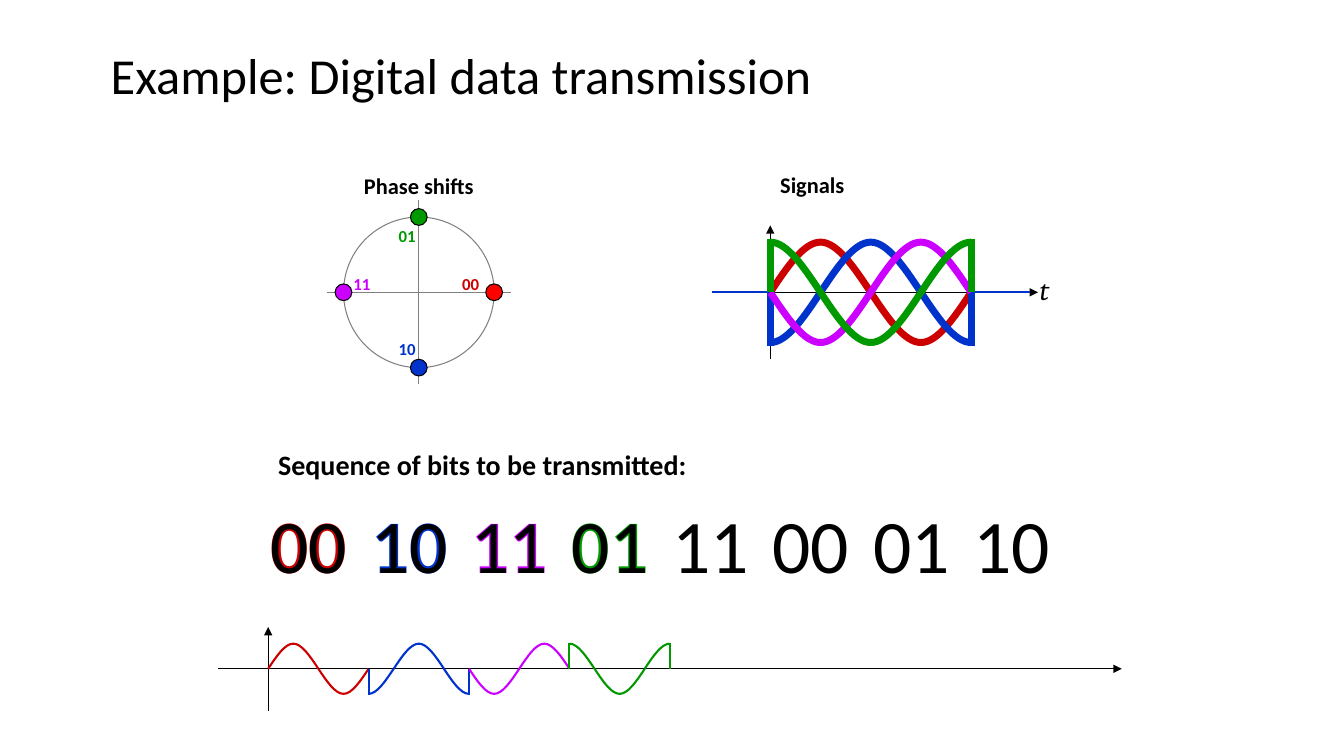
"""Builds the slide on digital data transmission by phase shifts."""
from dataclasses import dataclass
from math import cos, pi, sin

from lxml import etree
from pptx import Presentation
from pptx import util as u
from pptx.dml.color import RGBColor
from pptx.enum import shapes, text
from pptx.oxml.ns import qn

PITCH = 0.166
LEFT, TOP = 2.66, 2.9
WAVE_CONTROLS = [0, 0.5, 1, 1, 1, 0.5, 0, -0.5, -1, -1, -1, -0.5]
BLACK, GREY, BLUE = "000000", "808080", "0033CC"


@dataclass
class Symbol:
    """Two bits, their phase in quarter turns, and the place of their label."""
    bits: str
    quarter: int
    colour: str
    dot_colour: str
    label_column: float
    label_row: float
    label_columns: float


@dataclass
class Label:
    """A line of text on the grid."""
    wording: str
    column: float
    row: float
    columns: float
    rows: float
    size: float
    colour: str = BLACK
    bold: bool = False
    italic: bool = False
    font: str = "Calibri"
    alignment: text.PP_ALIGN = text.PP_ALIGN.LEFT


@dataclass
class Line:
    """A straight line between two grid points."""
    start: tuple[float, float]
    end: tuple[float, float]
    colour: str = BLACK
    weight: float = 0.75
    arrow: bool = False


SYMBOLS = [
    Symbol("00", 0, "CC0000", "FF0000", 11, -1.4, 2.5),
    Symbol("10", 3, BLUE, BLUE, 7.2, 2.45, 3),
    Symbol("11", 2, "CC00FF", "CC00FF", 4.5, -1.4, 2.5),
    Symbol("01", 1, "009900", "009900", 7.2, -4.3, 3),
]
REMAINING_BITS = ["11", "00", "01", "10"]
PHASE_COLUMN, PHASE_RADIUS, DOT_RADIUS = 9, 4.5, 0.5
SIGNAL_COLUMN, SIGNAL_COLUMNS, SIGNAL_HEIGHT = 30, 12, 3
STREAM_ROW, STREAM_COLUMNS, STREAM_HEIGHT = 22.5, 6, 1.5

HEADINGS = [
    Label("Example: Digital data transmission", -10, -15.13, 68, 5.5, 36),
    Label("Phase shifts", 3, -7.5, 12, 2.25, 16, bold=True,
          alignment=text.PP_ALIGN.CENTER),
    Label("Signals", 30, -7.54, 12, 2.25, 16, bold=True),
    Label("t", 45.5, -1.5, 2, 2.6, 20, italic=True, font="Cambria"),
    Label("Sequence of bits to be transmitted:", 0, 9, 48, 2.6, 20, bold=True),
]
AXES = [
    Line((9, 5.5), (9, -5.5), GREY),
    Line((3.5, 0), (14.5, 0), GREY),
    Line((26.5, 0), (46, 0), arrow=True),
    Line((30, 4), (30, -4), arrow=True),
    Line((26.5, 0), (30, 0), BLUE, 1.5),
    Line((42, 0), (45.5, 0), BLUE, 1.5),
    Line((0, 25), (0, 20), arrow=True),
    Line((-3, STREAM_ROW), (51, STREAM_ROW), arrow=True),
]


def rgb(value: str) -> RGBColor:
    """Turn a hex string into a colour."""
    return RGBColor.from_string(value)


def across(column: float) -> u.Length:
    """Give the slide position of a grid column."""
    return u.Inches(LEFT + PITCH * column)


def down(row: float) -> u.Length:
    """Give the slide position of a grid row."""
    return u.Inches(TOP + PITCH * row)


def apply(target: object, values: dict[str, object]) -> None:
    """Set each named attribute on the target."""
    for name, value in values.items():
        setattr(target, name, value)


def draw_label(slide, label: Label) -> None:
    """Draw one line of text."""
    shape = slide.shapes.add_textbox(
        across(label.column), down(label.row),
        u.Inches(PITCH * label.columns), u.Inches(PITCH * label.rows))
    apply(shape.text_frame, {"word_wrap": True,
                             "vertical_anchor": text.MSO_ANCHOR.TOP})
    paragraph = shape.text_frame.paragraphs[0]
    apply(paragraph, {"text": label.wording, "alignment": label.alignment})
    font = paragraph.runs[0].font
    apply(font, {"name": label.font, "size": u.Pt(label.size),
                 "bold": label.bold, "italic": label.italic})
    font.color.rgb = rgb(label.colour)


def style_line(shape, colour: str, weight: float) -> None:
    """Set the colour and weight of an outline."""
    shape.line.color.rgb = rgb(colour)
    shape.line.width = u.Pt(weight)


def draw_line(slide, line: Line) -> None:
    """Draw a straight line, with an arrowhead where asked."""
    connector = slide.shapes.add_connector(
        shapes.MSO_CONNECTOR.STRAIGHT,
        across(line.start[0]), down(line.start[1]),
        across(line.end[0]), down(line.end[1]))
    style_line(connector, line.colour, line.weight)
    if line.arrow:
        etree.SubElement(connector.line._get_or_add_ln(), qn("a:tailEnd"),
                         type="triangle")
    etree.SubElement(connector._element.spPr, qn("a:effectLst"))


def draw_circle(slide, column: float, row: float, radius: float,
                outline: str, fill: str | None = None) -> None:
    """Draw a circle about a grid point."""
    side = u.Inches(2 * PITCH * radius)
    circle = slide.shapes.add_shape(
        shapes.MSO_SHAPE.OVAL, across(column - radius), down(row - radius),
        side, side)
    circle.shadow.inherit = False
    style_line(circle, outline, 0.75)
    if fill:
        circle.fill.solid()
        circle.fill.fore_color.rgb = rgb(fill)
    else:
        circle.fill.background()


def round_segments(curve) -> None:
    """Turn every three straight segments into one cubic curve."""
    segments = list(curve._element.iter(qn("a:lnTo")))
    for first in range(0, len(segments), 3):
        cubic = etree.Element(qn("a:cubicBezTo"))
        segments[first].addprevious(cubic)
        for segment in segments[first:first + 3]:
            cubic.append(segment[0])
            segment.getparent().remove(segment)


def draw_wave(slide, symbol: Symbol, column: float, row: float,
              columns: float, height: float, weight: float) -> None:
    """Draw one period, split at its zero crossings, with its end jumps."""
    def point(third: int) -> tuple[u.Length, u.Length]:
        """Give a control point, counted in thirds of a quarter period."""
        swing = WAVE_CONTROLS[(third + 3 * symbol.quarter) % 12]
        return across(column + columns * third / 12), down(row - height * swing)

    jumps = symbol.quarter % 2 == 1
    bounds = [0, 3, 9, 12] if jumps else [0, 6, 12]
    for first, last in zip(bounds, bounds[1:]):
        builder = slide.shapes.build_freeform(*point(first), scale=1.0)
        builder.add_line_segments(
            [point(third) for third in range(first + 1, last + 1)], close=False)
        curve = builder.convert_to_shape()
        round_segments(curve)
        curve.shadow.inherit = False
        curve.fill.background()
        style_line(curve, symbol.colour, weight)
    if jumps:
        overlap = weight / 2 / 72 / PITCH
        peak = (height + overlap) * sin(symbol.quarter * pi / 2)
        for end in (column, column + columns):
            draw_line(slide, Line((end, row - peak), (end, row),
                                  symbol.colour, weight))


def bit_label(position: int, bits: str, colour: str, bold: bool) -> Label:
    """Describe one bit pair of the sequence."""
    return Label(bits, STREAM_COLUMNS * position - 0.45, 12, 7, 6, 54,
                 colour, bold)


def main() -> None:
    """Build and save the slide."""
    presentation = Presentation()
    apply(presentation, {"slide_width": u.Inches(13.33),
                         "slide_height": u.Inches(7.5)})
    slide = presentation.slides.add_slide(presentation.slide_layouts[6])
    for heading in HEADINGS:
        draw_label(slide, heading)
    for axis in AXES:
        draw_line(slide, axis)
    draw_circle(slide, PHASE_COLUMN, 0, PHASE_RADIUS, GREY)
    for position, symbol in enumerate(SYMBOLS):
        draw_label(slide, bit_label(position, symbol.bits, symbol.colour, True))
        draw_label(slide, Label(symbol.bits, symbol.label_column, symbol.label_row,
                                symbol.label_columns, 1.8, 12, symbol.colour, True))
        angle = symbol.quarter * pi / 2
        draw_circle(slide, PHASE_COLUMN + PHASE_RADIUS * cos(angle),
                    -PHASE_RADIUS * sin(angle), DOT_RADIUS, BLACK,
                    symbol.dot_colour)
        draw_wave(slide, symbol, SIGNAL_COLUMN, 0, SIGNAL_COLUMNS,
                  SIGNAL_HEIGHT, 5)
        draw_wave(slide, symbol, STREAM_COLUMNS * position, STREAM_ROW,
                  STREAM_COLUMNS, STREAM_HEIGHT, 1.5)
    sequence = [symbol.bits for symbol in SYMBOLS] + REMAINING_BITS
    for position, bits in enumerate(sequence):
        draw_label(slide, bit_label(position, bits, BLACK, False))
    presentation.save("out.pptx")


if __name__ == "__main__":
    main()
